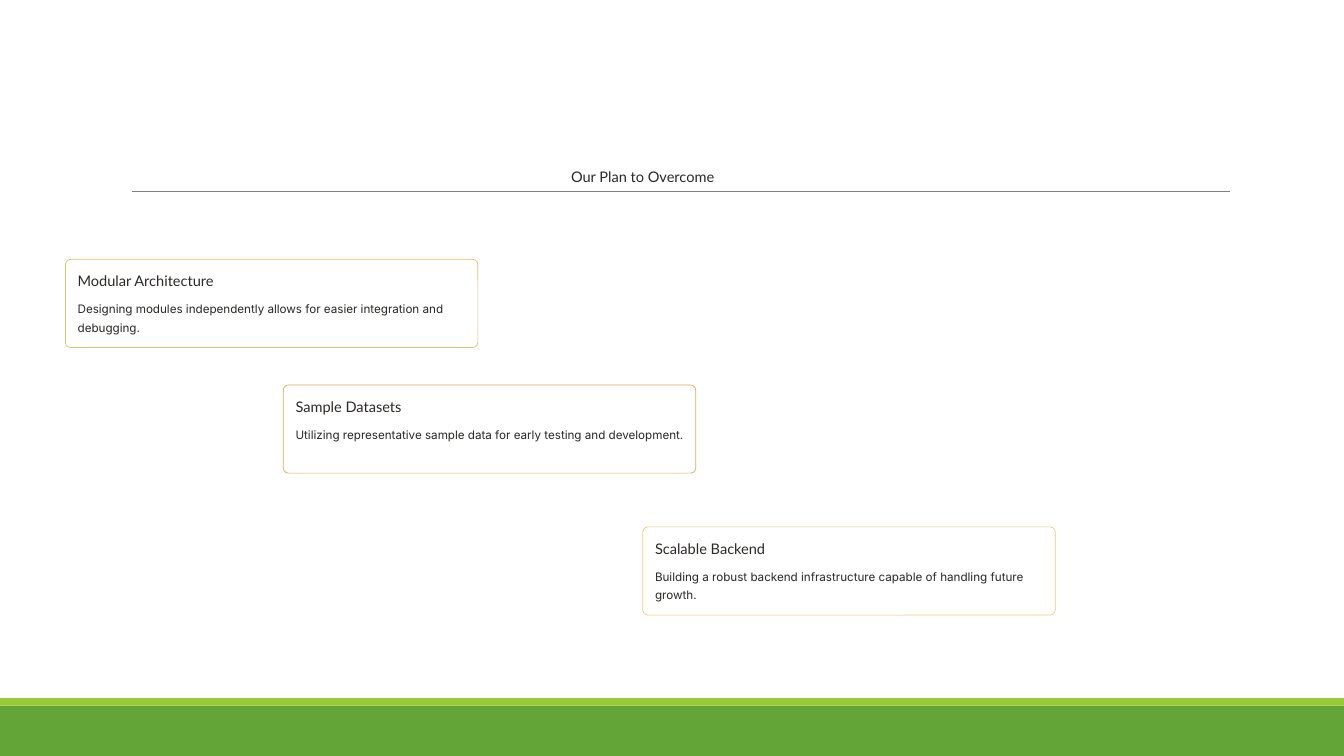
from lxml.etree import SubElement
from pptx import Presentation
from pptx.dml.color import RGBColor
from pptx.enum.shapes import MSO_CONNECTOR, MSO_SHAPE
from pptx.enum.text import MSO_ANCHOR, MSO_AUTO_SIZE, PP_ALIGN
from pptx.oxml.ns import qn
from pptx.util import Inches, Pt

SLIDE_WIDTH, SLIDE_HEIGHT = Inches(16), Inches(9)

GREEN = RGBColor(0x63, 0xA5, 0x37)
LIME = RGBColor(0x99, 0xCB, 0x38)
GRAY = RGBColor(0x80, 0x80, 0x80)
INK = RGBColor(0x2C, 0x29, 0x26)
WHITE = RGBColor(0xFF, 0xFF, 0xFF)
GOLD = RGBColor(0xE7, 0xBF, 0x6A)
AMBER = RGBColor(0xDF, 0xAB, 0x58)
SAND = RGBColor(0xEB, 0xCC, 0x75)

# Card measures, in percent of the slide's width or height
CARD_WIDTH, CARD_HEIGHT = 30.69, 11.67
INSET_X, INSET_Y = 0.91, 1.6
HEADING_WIDTH, HEADING_HEIGHT = 11.25, 2.44
DETAIL_OFFSET, DETAIL_WIDTH, DETAIL_HEIGHT = 3.4, 29, 5

# Left, top, outline, heading, detail
CARDS = [
    (4.87, 34.31, GOLD, "Modular Architecture",
     "Designing modules independently allows for easier integration and debugging."),
    (21.08, 50.92, AMBER, "Sample Datasets",
     "Utilizing representative sample data for early testing and development."),
    (47.83, 69.7, SAND, "Scalable Backend",
     "Building a robust backend infrastructure capable of handling future growth."),
]


def across(percent):
    return round(SLIDE_WIDTH * percent / 100)


def down(percent):
    return round(SLIDE_HEIGHT * percent / 100)


def area(left, top, width, height):
    return across(left), down(top), across(width), down(height)


def add_block(slide, kind, place, fill, outline=None):
    block = slide.shapes.add_shape(kind, *area(*place))
    block.shadow.inherit = False
    block.fill.solid()
    block.fill.fore_color.rgb = fill
    if outline is None:
        block.line.fill.background()
    else:
        block.line.color.rgb = outline
        block.line.width = Pt(0.6)
    return block


def add_rule(slide, left, right, top):
    rule = slide.shapes.add_connector(
        MSO_CONNECTOR.STRAIGHT, across(left), down(top), across(right), down(top))
    rule.line.color.rgb = GRAY
    rule.line.width = Pt(0.5)
    SubElement(rule._element.spPr, qn("a:effectLst"))


def write(box, text, font, size, spacing, align=PP_ALIGN.LEFT, wrap=False):
    frame = box.text_frame
    frame.text = text
    frame.word_wrap = wrap
    frame.auto_size = MSO_AUTO_SIZE.NONE
    frame.vertical_anchor = MSO_ANCHOR.TOP
    frame.margin_left = frame.margin_right = 0
    frame.margin_top = frame.margin_bottom = 0
    para = frame.paragraphs[0]
    para.alignment = align
    para.line_spacing = Pt(spacing)
    span = para.runs[0]
    span.font.name = font
    span.font.size = Pt(size)
    span.font.color.rgb = INK


def write_heading(box, text, align=PP_ALIGN.LEFT):
    write(box, text, "Lato", 12.5, 15.5, align)


def add_card(slide, left, top, outline, heading, detail):
    card = add_block(slide, MSO_SHAPE.ROUNDED_RECTANGLE,
                     (left, top, CARD_WIDTH, CARD_HEIGHT), WHITE, outline)
    card.adjustments[0] = 0.06
    text_left, text_top = left + INSET_X, top + INSET_Y
    heading_box = slide.shapes.add_textbox(
        *area(text_left, text_top, HEADING_WIDTH, HEADING_HEIGHT))
    write_heading(heading_box, heading)
    detail_box = slide.shapes.add_textbox(
        *area(text_left, text_top + DETAIL_OFFSET, DETAIL_WIDTH, DETAIL_HEIGHT))
    write(detail_box, detail, "Inter", 10, 16, wrap=True)


def main():
    deck = Presentation()
    deck.slide_width, deck.slide_height = SLIDE_WIDTH, SLIDE_HEIGHT
    slide = deck.slides.add_slide(deck.slide_layouts.get_by_name("Title Only"))

    # Footer bands and the rule under the title
    add_block(slide, MSO_SHAPE.RECTANGLE, (0, 93.33, 100, 6.67), GREEN)
    add_block(slide, MSO_SHAPE.RECTANGLE, (0, 92.33, 100, 1), LIME)
    add_rule(slide, 9.81, 91.54, 25.33)

    # Title
    title = slide.shapes.title
    title.left, title.top, title.width, title.height = area(42.1, 22.11, 11.44, 2.44)
    write_heading(title, "Our Plan to Overcome", PP_ALIGN.CENTER)

    # Stepped cards
    for card in CARDS:
        add_card(slide, *card)

    deck.save("out.pptx")


if __name__ == "__main__":
    main()
